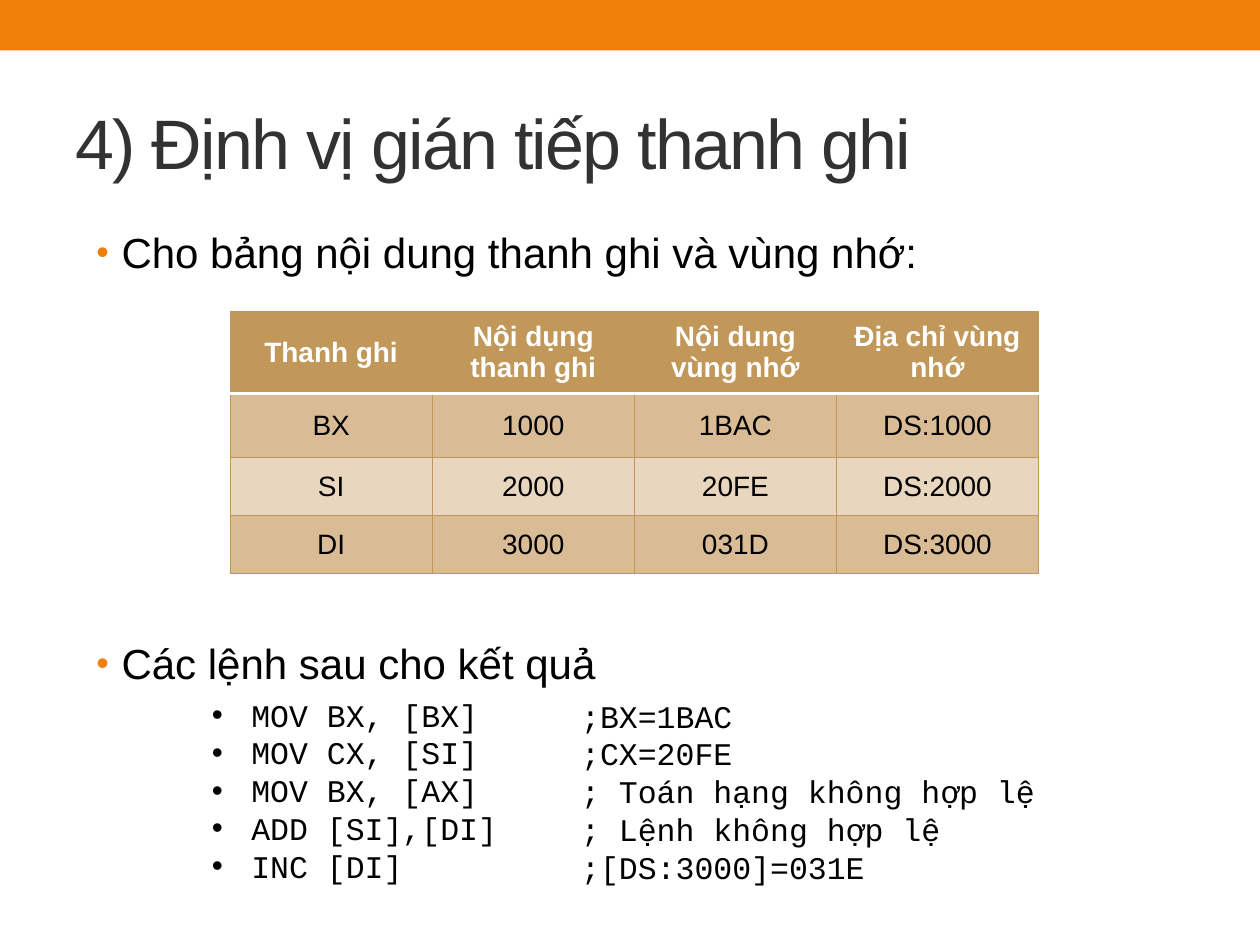
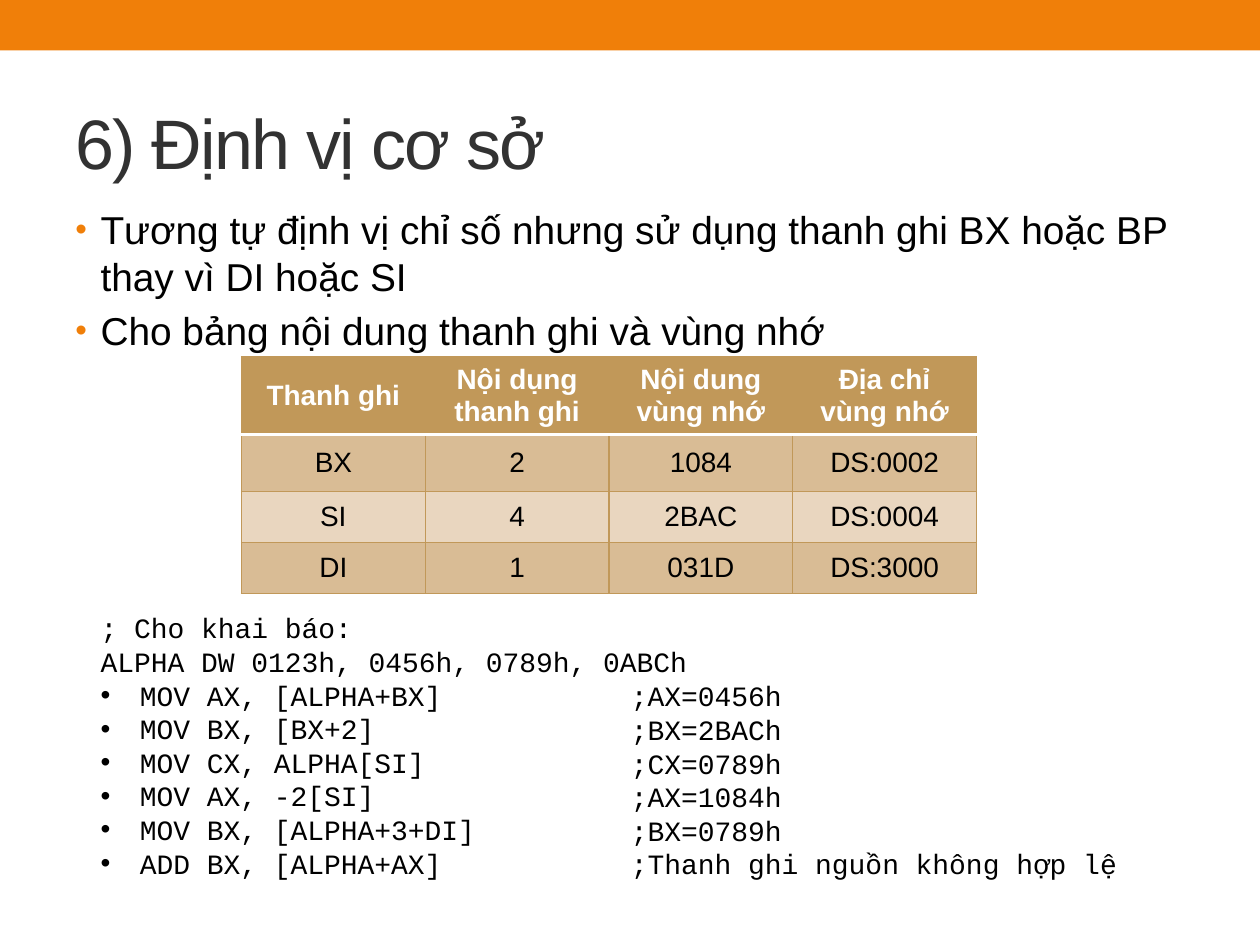
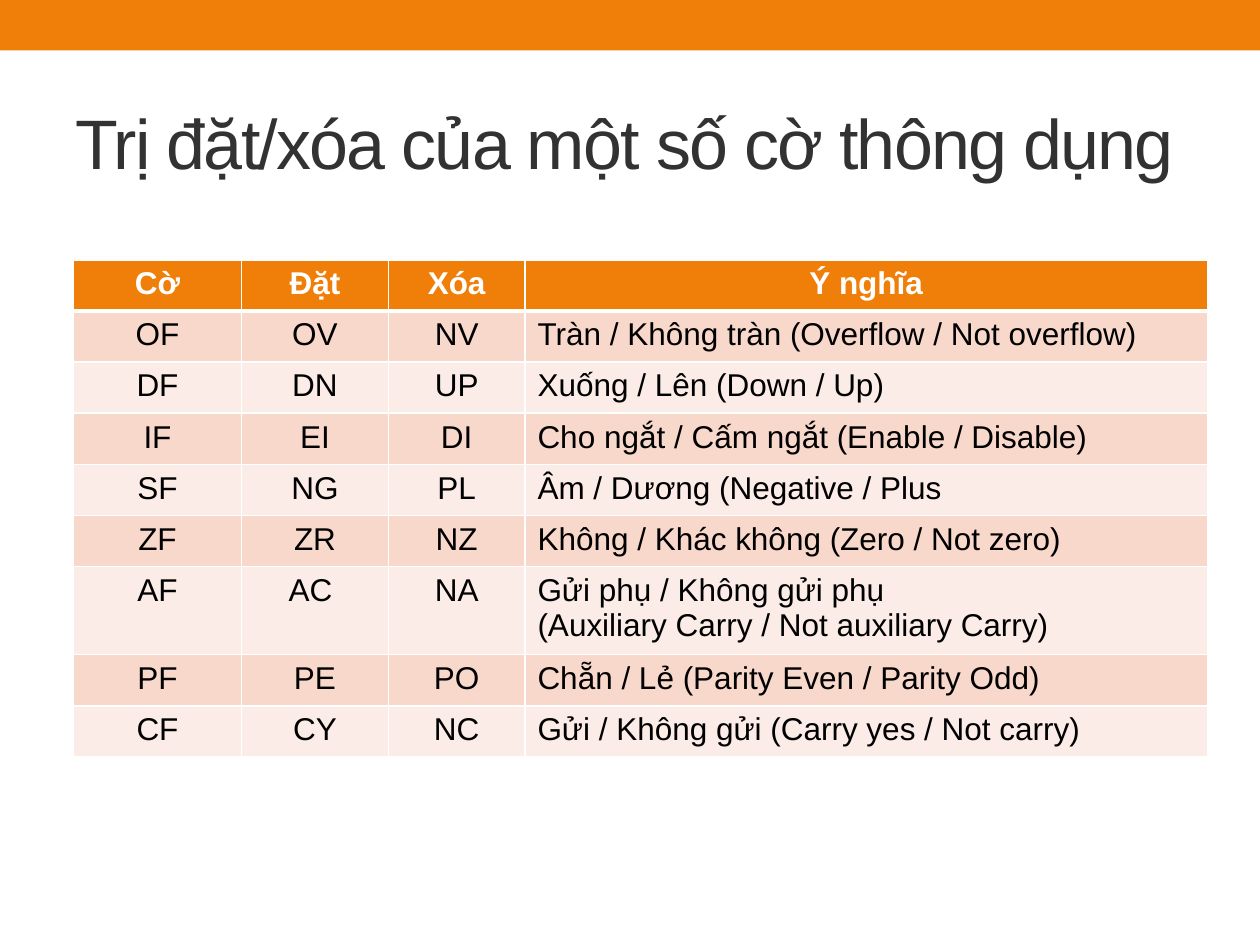
from dataclasses import dataclass

from lxml import etree
from pptx import Presentation
from pptx.dml.color import RGBColor
from pptx.enum.shapes import MSO_SHAPE
from pptx.enum.text import MSO_ANCHOR, PP_ALIGN
from pptx.oxml.ns import qn
from pptx.util import Pt

RECTANGLE = MSO_SHAPE.RECTANGLE
TOP, MIDDLE = MSO_ANCHOR.TOP, MSO_ANCHOR.MIDDLE
LEFT, CENTER = PP_ALIGN.LEFT, PP_ALIGN.CENTER


@dataclass(frozen=True)
class Theme:
    sans: str = "Arial"
    mono: str = "Courier New"
    accent: str = "F07F09"
    title: str = "323232"
    ink: str = "000000"
    white: str = "FFFFFF"
    tan: str = "C19859"
    tan_bands: tuple = ("D9BC95", "E9D6BF")
    pink_bands: tuple = ("F9D8CC", "FCECE7")
    title_size: float = 40
    body_size: float = 24
    tight_body_size: float = 22.2
    code_size: float = 18
    small_size: float = 16


THEME = Theme()
WIDTH, HEIGHT = 720, 540
BAND_HEIGHT = 28.8
TITLE_BOX = (36, 42, 648, 78)

REGISTER_HEAD = ("Thanh ghi", "Nội dụng thanh ghi", "Nội dung vùng nhớ", "Địa chỉ vùng nhớ")

INDIRECT = {
    "title": "4) Định vị gián tiếp thanh ghi",
    "points": ["Cho bảng nội dung thanh ghi và vùng nhớ:", "Các lệnh sau cho kết quả"],
    "registers": [
        REGISTER_HEAD,
        ("BX", "1000", "1BAC", "DS:1000"),
        ("SI", "2000", "20FE", "DS:2000"),
        ("DI", "3000", "031D", "DS:3000"),
    ],
    "code": ["MOV BX, [BX]", "MOV CX, [SI]", "MOV BX, [AX]", "ADD [SI],[DI]", "INC [DI]"],
    "results": [";BX=1BAC", ";CX=20FE", "; Toán hạng không hợp lệ",
                "; Lệnh không hợp lệ", ";[DS:3000]=031E"],
}

BASED = {
    "title": "6) Định vị cơ sở",
    "points": ["Tương tự định vị chỉ số nhưng sử dụng thanh ghi BX hoặc BP thay vì DI hoặc SI",
               "Cho bảng nội dung thanh ghi và vùng nhớ"],
    "registers": [
        REGISTER_HEAD,
        ("BX", "2", "1084", "DS:0002"),
        ("SI", "4", "2BAC", "DS:0004"),
        ("DI", "1", "031D", "DS:3000"),
    ],
    "declaration": ["; Cho khai báo:", "ALPHA DW 0123h, 0456h, 0789h, 0ABCh"],
    "code": ["MOV AX, [ALPHA+BX]", "MOV BX, [BX+2]", "MOV CX, ALPHA[SI]",
             "MOV AX, -2[SI]", "MOV BX, [ALPHA+3+DI]", "ADD BX, [ALPHA+AX]"],
    "results": [";AX=0456h", ";BX=2BACh", ";CX=0789h", ";AX=1084h", ";BX=0789h",
                ";Thanh ghi nguồn không hợp lệ"],
}

FLAGS = {
    "title": "Trị đặt/xóa của một số cờ thông dụng",
    "flags": [
        ("Cờ", "Đặt", "Xóa", "Ý nghĩa"),
        ("OF", "OV", "NV", "Tràn / Không tràn (Overflow / Not overflow)"),
        ("DF", "DN", "UP", "Xuống / Lên (Down / Up)"),
        ("IF", "EI", "DI", "Cho ngắt / Cấm ngắt (Enable / Disable)"),
        ("SF", "NG", "PL", "Âm / Dương (Negative / Plus"),
        ("ZF", "ZR", "NZ", "Không / Khác không (Zero / Not zero)"),
        ("AF", "AC ", "NA", "Gửi phụ / Không gửi phụ\v(Auxiliary Carry / Not auxiliary Carry)"),
        ("PF", "PE", "PO", "Chẵn / Lẻ (Parity Even / Parity Odd)"),
        ("CF", "CY", "NC", "Gửi / Không gửi (Carry yes / Not carry)"),
    ],
}


def rgb(color):
    return RGBColor.from_string(color)


def add_bullet(paragraph, margin, hanging, color, percent):
    props = paragraph._p.get_or_add_pPr()
    props.set("marL", str(Pt(margin)))
    props.set("indent", str(Pt(-hanging)))
    if color:
        tint = etree.SubElement(props, qn("a:buClr"))
        etree.SubElement(tint, qn("a:srgbClr"), val=color)
    etree.SubElement(props, qn("a:buSzPct"), val=str(percent * 1000))
    etree.SubElement(props, qn("a:buFont"), typeface=THEME.sans)
    etree.SubElement(props, qn("a:buChar"), char="•")


def write(frame, lines, size, font=THEME.sans, color=THEME.ink, bold=False, align=LEFT,
          anchor=TOP, gaps=None, bullet=None, plain_lines=0, tracking=None):
    frame.word_wrap = True
    frame.vertical_anchor = anchor
    for index, line in enumerate(lines):
        paragraph = frame.paragraphs[0] if index == 0 else frame.add_paragraph()
        paragraph.text = line
        paragraph.alignment = align
        if gaps:
            paragraph.space_before = Pt(gaps[index])
        if bullet and index >= plain_lines:
            add_bullet(paragraph, **bullet)
        for run in paragraph.runs:
            run.font.name = font
            run.font.size = Pt(size)
            run.font.bold = bold
            run.font.color.rgb = rgb(color)
            if tracking:
                run._r.get_or_add_rPr().set("spc", str(tracking))


def add_text(slide, box, lines, size, **style):
    write(slide.shapes.add_textbox(*map(Pt, box)).text_frame, lines, size, **style)


def add_slide(deck, title):
    slide = deck.slides.add_slide(deck.slide_layouts[6])
    band = slide.shapes.add_shape(RECTANGLE, 0, 0, Pt(WIDTH), Pt(BAND_HEIGHT))
    band.shadow.inherit = False
    band.fill.solid()
    band.fill.fore_color.rgb = rgb(THEME.accent)
    band.line.fill.background()
    add_text(slide, TITLE_BOX, [title], THEME.title_size, color=THEME.title,
             anchor=MIDDLE, tracking=-100)
    return slide


def add_border(cell, side, color, width):
    line = etree.SubElement(cell._tc.get_or_add_tcPr(), qn("a:ln" + side), w=str(Pt(width)))
    fill = etree.SubElement(line, qn("a:solidFill"))
    etree.SubElement(fill, qn("a:srgbClr"), val=color)


def add_grid(slide, origin, widths, heights, rows, size, head, bands, line, line_width,
             rule_width, anchor=TOP, left_column=None, padding=3.6):
    box = (*origin, sum(widths), sum(heights))
    table = slide.shapes.add_table(len(rows), len(widths), *map(Pt, box)).table
    table.horz_banding = False
    for column, width in zip(table.columns, widths):
        column.width = Pt(width)
    for r, (row, height) in enumerate(zip(rows, heights)):
        table.rows[r].height = Pt(height)
        is_head = r == 0
        rule_side = {0: "B", 1: "T"}.get(r)
        for c, text in enumerate(row):
            cell = table.cell(r, c)
            cell.margin_top = cell.margin_bottom = Pt(padding)
            for side in "LRTB":
                is_rule = side == rule_side
                add_border(cell, side, THEME.white if is_rule else line,
                           rule_width if is_rule else line_width)
            cell.fill.solid()
            cell.fill.fore_color.rgb = rgb(head if is_head else bands[(r - 1) % 2])
            write(cell.text_frame, [text], size, bold=is_head,
                  color=THEME.white if is_head else THEME.ink,
                  align=LEFT if c == left_column and not is_head else CENTER)
            cell.vertical_anchor = anchor


POINT_BULLET = dict(margin=14.4, hanging=14.4, color=THEME.accent, percent=85)
NESTED_BULLET = dict(margin=58.5, hanging=22.5, color=None, percent=100)
CODE_BULLET = dict(margin=22.5, hanging=22.5, color=None, percent=100)
REGISTER_STYLE = dict(size=THEME.small_size, head=THEME.tan, bands=THEME.tan_bands,
                      line=THEME.tan, line_width=0.75, rule_width=2.08, anchor=MIDDLE,
                      padding=3)
FLAG_STYLE = dict(size=THEME.code_size, head=THEME.accent, bands=THEME.pink_bands,
                  line=THEME.white, line_width=1, rule_width=3, left_column=3)


def build_indirect(deck):
    slide = add_slide(deck, INDIRECT["title"])
    add_text(slide, (48, 126, 648, 270), INDIRECT["points"], THEME.body_size,
             gaps=(4.8, 206), bullet=POINT_BULLET)
    add_grid(slide, (131.5, 178), [115.5] * 4, [46.8, 36.6, 33.2, 33.2],
             INDIRECT["registers"], **REGISTER_STYLE)
    add_text(slide, (78, 394, 258, 138), INDIRECT["code"], THEME.code_size,
             font=THEME.mono, bullet=NESTED_BULLET)
    add_text(slide, (325, 394.5, 276, 117), INDIRECT["results"], THEME.code_size,
             font=THEME.mono)


def build_based(deck):
    slide = add_slide(deck, BASED["title"])
    add_text(slide, (36, 114, 648, 90), BASED["points"], THEME.tight_body_size,
             gaps=(4.4, 4.4), bullet=POINT_BULLET)
    add_grid(slide, (138, 204), [105] * 4, [42.8, 32.4, 29.2, 29.2],
             BASED["registers"], **REGISTER_STYLE)
    add_text(slide, (50.4, 345.6, 355, 163), BASED["declaration"] + BASED["code"],
             THEME.small_size, font=THEME.mono, bullet=CODE_BULLET,
             plain_lines=len(BASED["declaration"]))
    add_text(slide, (353.5, 384.5, 297, 124), BASED["results"], THEME.small_size,
             font=THEME.mono)


def build_flags(deck):
    slide = add_slide(deck, FLAGS["title"])
    heights = [47.7 if "\v" in meaning else 29.2 for *_, meaning in FLAGS["flags"]]
    add_grid(slide, (42, 148.5), [96, 84, 78, 390], heights, FLAGS["flags"], **FLAG_STYLE)


deck = Presentation()
deck.slide_width, deck.slide_height = Pt(WIDTH), Pt(HEIGHT)
for build in (build_indirect, build_based, build_flags):
    build(deck)
deck.save("out.pptx")
